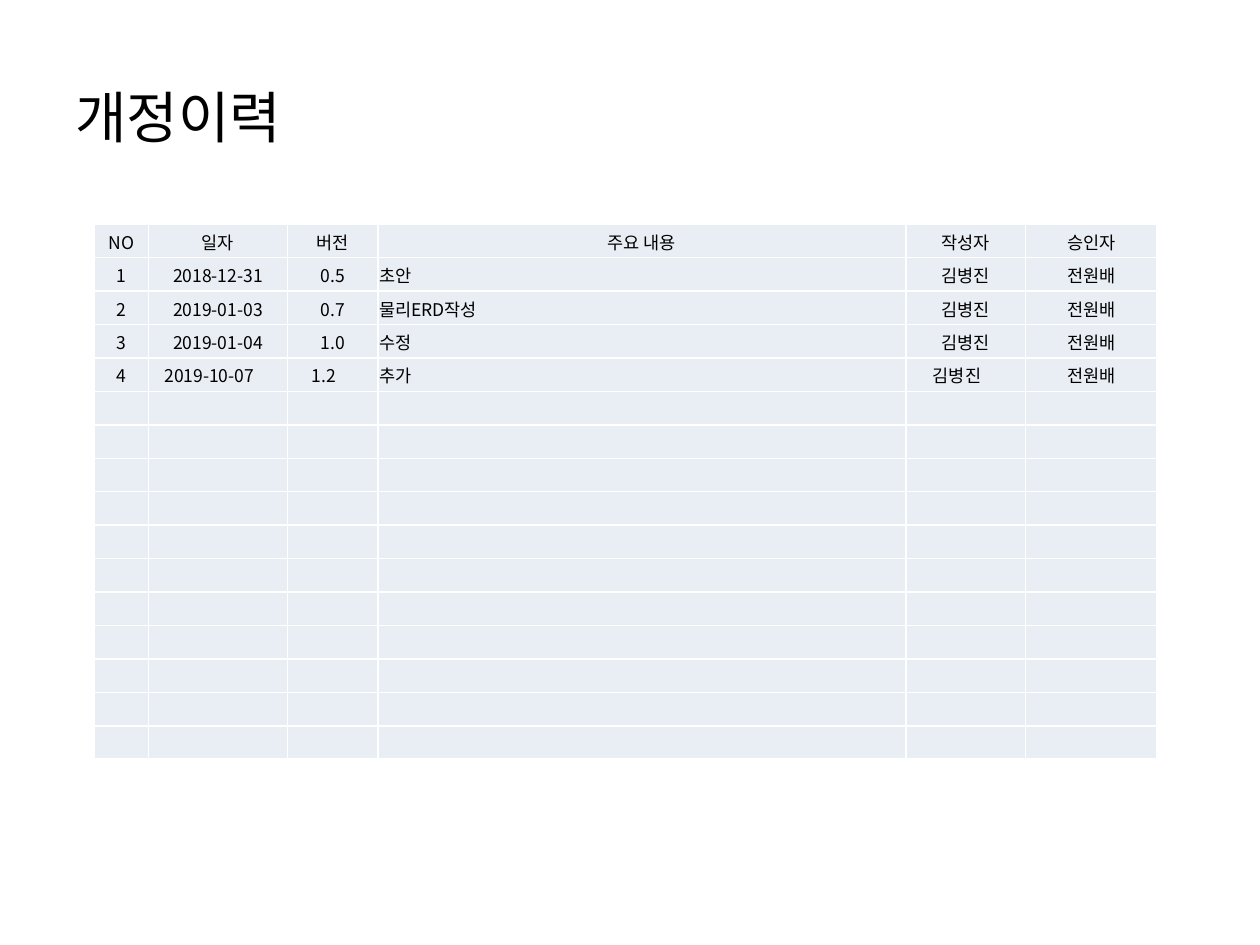
from lxml.etree import SubElement
from pptx import Presentation
from pptx.dml.color import RGBColor
from pptx.enum.text import MSO_ANCHOR, PP_ALIGN
from pptx.oxml.ns import qn
from pptx.util import Inches, Pt


def color(code):
    return RGBColor.from_string(code)


class Deck:
    """Holds the style and the current slide, and draws its elements."""

    font = "Noto Sans CJK KR"
    ink = "000000"
    fill = "E9EDF4"
    rule = "FFFFFF"

    def __init__(self, wide, high):
        self.show = Presentation()
        self.show.slide_width = Inches(wide)
        self.show.slide_height = Inches(high)
        self.slide = self.show.slides.add_slide(self.show.slide_layouts[6])

    def style(self, para, size, align):
        para.alignment = align
        for run in para.runs:
            run.font.size = Pt(size)
            run.font.name = self.font
            run.font.color.rgb = color(self.ink)
            SubElement(run.font._element, qn("a:ea"), typeface=self.font)
        if not para.runs:
            SubElement(para._p, qn("a:endParaRPr"), sz=str(size * 100))

    def title(self, text, box, size):
        frame = self.slide.shapes.add_textbox(*map(Inches, box)).text_frame
        frame.word_wrap = True
        frame.vertical_anchor = MSO_ANCHOR.MIDDLE
        frame.text = text
        self.style(frame.paragraphs[0], size, PP_ALIGN.LEFT)

    def border(self, cell):
        props = cell._tc.get_or_add_tcPr()
        for at, side in enumerate(("lnL", "lnR", "lnT", "lnB")):
            line = props.makeelement(qn(f"a:{side}"), w=str(Pt(1)))
            solid = SubElement(line, qn("a:solidFill"))
            SubElement(solid, qn("a:srgbClr"), val=self.rule)
            props.insert(at, line)

    def cell(self, cell, text, size, align):
        cell.margin_left = cell.margin_right = cell.margin_top = Inches(0.01)
        cell.margin_bottom = 0
        cell.vertical_anchor = MSO_ANCHOR.MIDDLE
        cell.fill.solid()
        cell.fill.fore_color.rgb = color(self.fill)
        self.border(cell)
        cell.text_frame.text = text
        self.style(cell.text_frame.paragraphs[0], size, align)

    def table(self, data, left, top, high, cols, count, size, lead):
        box = map(Inches, (left, top, sum(cols), high))
        grid = self.slide.shapes.add_table(count, len(cols), *box).table
        for col, wide in zip(grid.columns, cols):
            col.width = Inches(wide)
        for r in range(count):
            grid.rows[r].height = Inches(high / count)
            row = data[r] if r < len(data) else [""] * len(cols)
            for c, text in enumerate(row):
                align = PP_ALIGN.LEFT if r and c == lead else PP_ALIGN.CENTER
                self.cell(grid.cell(r, c), text, size, align)


log = [
    ("NO", "일자", "버전", "주요 내용", "작성자", "승인자"),
    ("1", "2018-12-31", "0.5", "초안", "김병진", "전원배"),
    ("2", "2019-01-03", "0.7", "물리ERD작성", "김병진", "전원배"),
    ("3", "2019-01-04", "1.0", "수정", "김병진", "전원배"),
    ("4", "2019-10-07\u3000", "1.2\u3000", "추가\u3000", "김병진\u3000", "전원배"),
]

deck = Deck(10, 7.5)
deck.title("개정이력", (0.5, 0.3, 9, 1.25), 32)
deck.table(log, left=0.75, top=1.78, high=4.25,
           cols=(0.43, 1.1, 0.72, 4.19, 0.95, 1.04), count=16, size=10, lead=3)
deck.show.save("out.pptx")
